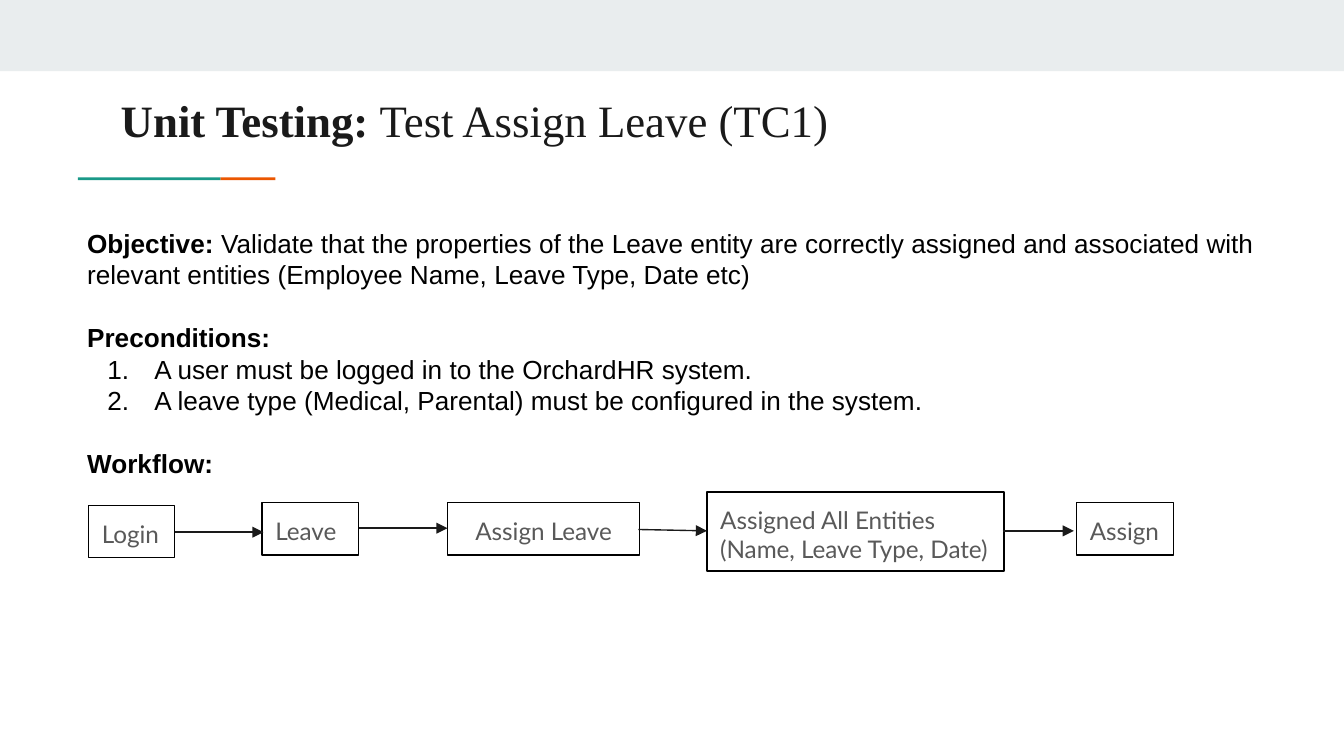
import pptx
import pptx.dml.color
import pptx.enum.shapes
import pptx.enum.text
import pptx.oxml.ns
import pptx.util
from lxml import etree
from pptx.util import Inches

COLORS = {
    "band": "E9EDEE",
    "teal": "1A9988",
    "orange": "EB5600",
    "title": "1A1A1A",
    "body": "000000",
    "step": "595959",
    "border": "000000",
    "arrow": "1A1A1A",
}
RECTANGLE = pptx.enum.shapes.MSO_SHAPE.RECTANGLE
CENTER = pptx.enum.text.PP_ALIGN.CENTER
LEFT = pptx.enum.text.PP_ALIGN.LEFT

# Workflow steps: text, left, top, width, height, alignment
STEPS = [
    ("Login", 0.66, 3.76, 0.64, 0.39, LEFT),
    ("Leave", 1.95, 3.74, 0.72, 0.39, LEFT),
    ("Assign Leave", 3.33, 3.74, 1.43, 0.39, CENTER),
    ("Assigned All Entities\n(Name, Leave Type, Date)", 5.26, 3.66, 2.21, 0.59, LEFT),
    ("Assign", 8.01, 3.74, 0.72, 0.39, LEFT),
]
# Arrows between steps: start x, start y, end x, end y
ARROWS = [
    (1.3, 3.96, 1.96, 3.96),
    (2.67, 3.93, 3.33, 3.93),
    (4.75, 3.94, 5.26, 3.95),
    (7.46, 3.95, 7.99, 3.95),
]
# Body paragraphs: bold part, plain part, numbered, starts a new section
BODY = [
    ("Objective:", " Validate that the properties of the Leave entity are correctly assigned "
     "and associated with relevant entities (Employee Name, Leave Type, Date etc)", False, False),
    ("Preconditions:", "", False, True),
    ("", "A user must be logged in to the OrchardHR system.", True, False),
    ("", "A leave type (Medical, Parental) must be configured in the system.", True, False),
    ("Workflow:", "", False, True),
]
BODY_LINE = pptx.util.Pt(16.85)


def color(name):
    return pptx.dml.color.RGBColor.from_string(COLORS[name])


def style_run(run, font, size, color_name, bold=False):
    run.font.name = font
    run.font.size = pptx.util.Pt(size)
    run.font.bold = bold
    run.font.color.rgb = color(color_name)


def set_frame(text_frame):
    text_frame.word_wrap = True
    text_frame.auto_size = pptx.enum.text.MSO_AUTO_SIZE.NONE
    text_frame.vertical_anchor = pptx.enum.text.MSO_ANCHOR.TOP
    text_frame.margin_left = text_frame.margin_right = Inches(0.1)
    text_frame.margin_top = text_frame.margin_bottom = Inches(0.1)


def add_bar(slide, left, top, width, height, color_name):
    bar = slide.shapes.add_shape(
        RECTANGLE, Inches(left), Inches(top), Inches(width), Inches(height))
    bar.shadow.inherit = False
    bar.fill.solid()
    bar.fill.fore_color.rgb = color(color_name)
    bar.line.fill.background()


def add_title(slide):
    box = slide.shapes.add_textbox(Inches(0.8), Inches(0.59), Inches(8.99), Inches(0.59))
    set_frame(box.text_frame)
    paragraph = box.text_frame.paragraphs[0]
    for text, bold in (("Unit Testing: ", True), ("Test Assign Leave (TC1)", False)):
        run = paragraph.add_run()
        run.text = text
        style_run(run, "Times New Roman", 24, "title", bold)


def number_paragraph(paragraph):
    properties = paragraph._p.get_or_add_pPr()
    properties.set("marL", str(Inches(0.5)))
    properties.set("indent", str(Inches(-0.35)))
    numbering = etree.SubElement(properties, pptx.oxml.ns.qn("a:buAutoNum"))
    numbering.set("type", "arabicPeriod")


def add_body(slide):
    box = slide.shapes.add_textbox(Inches(0.55), Inches(1.59), Inches(9.24), Inches(2.06))
    text_frame = box.text_frame
    set_frame(text_frame)
    for index, (bold_text, plain_text, numbered, new_section) in enumerate(BODY):
        paragraph = text_frame.add_paragraph() if index else text_frame.paragraphs[0]
        paragraph.line_spacing = BODY_LINE
        if new_section:
            paragraph.space_before = BODY_LINE
        if numbered:
            number_paragraph(paragraph)
        for text, bold in ((bold_text, True), (plain_text, False)):
            if text:
                run = paragraph.add_run()
                run.text = text
                style_run(run, "Arial", 14, "body", bold)


def add_step(slide, text, left, top, width, height, alignment):
    step = slide.shapes.add_shape(
        RECTANGLE, Inches(left), Inches(top), Inches(width), Inches(height))
    step.shadow.inherit = False
    step.fill.background()
    step.line.color.rgb = color("border")
    step.line.width = pptx.util.Pt(0.75)
    set_frame(step.text_frame)
    step.text_frame.text = text
    for paragraph in step.text_frame.paragraphs:
        paragraph.alignment = alignment
        for run in paragraph.runs:
            style_run(run, "Lato", 13, "step")


def add_arrow(slide, start_x, start_y, end_x, end_y):
    arrow = slide.shapes.add_connector(
        pptx.enum.shapes.MSO_CONNECTOR.STRAIGHT,
        Inches(start_x), Inches(start_y), Inches(end_x), Inches(end_y))
    arrow.line.color.rgb = color("arrow")
    arrow.line.width = pptx.util.Pt(0.75)
    head = etree.SubElement(arrow.line._get_or_add_ln(), pptx.oxml.ns.qn("a:tailEnd"))
    head.set("type", "triangle")
    etree.SubElement(arrow._element.spPr, pptx.oxml.ns.qn("a:effectLst"))


def main():
    # Widescreen 16:9 slide
    presentation = pptx.Presentation()
    presentation.slide_width = Inches(10)
    presentation.slide_height = Inches(10) * 9 // 16
    slide = presentation.slides.add_slide(presentation.slide_layouts[6])

    # Top band and two-colour rule
    add_bar(slide, 0, 0, 10, 0.53, "band")
    add_bar(slide, 1.64, 1.32, 0.41, 0.02, "orange")
    add_bar(slide, 0.58, 1.32, 1.06, 0.02, "teal")

    # Title and description
    add_title(slide)
    add_body(slide)

    # Workflow
    for step in STEPS:
        add_step(slide, *step)
    for arrow in ARROWS:
        add_arrow(slide, *arrow)

    presentation.save("out.pptx")


if __name__ == "__main__":
    main()
